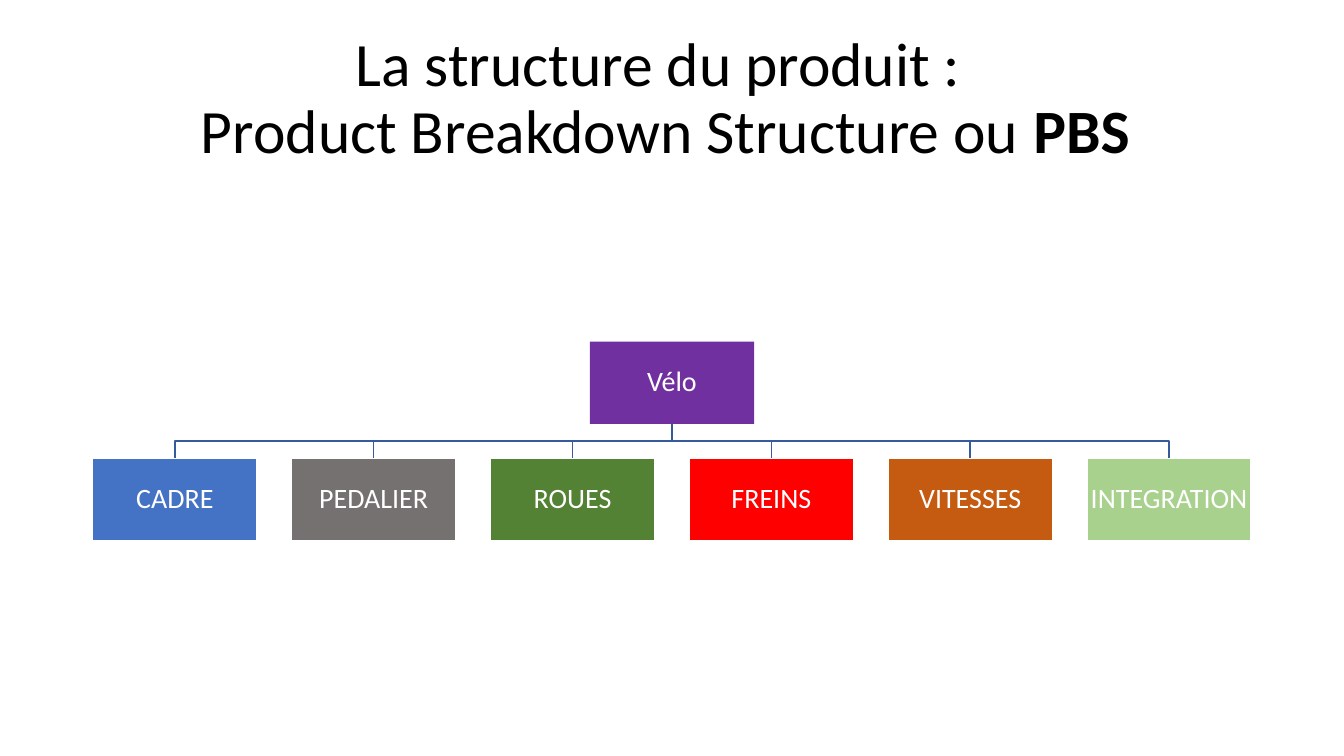
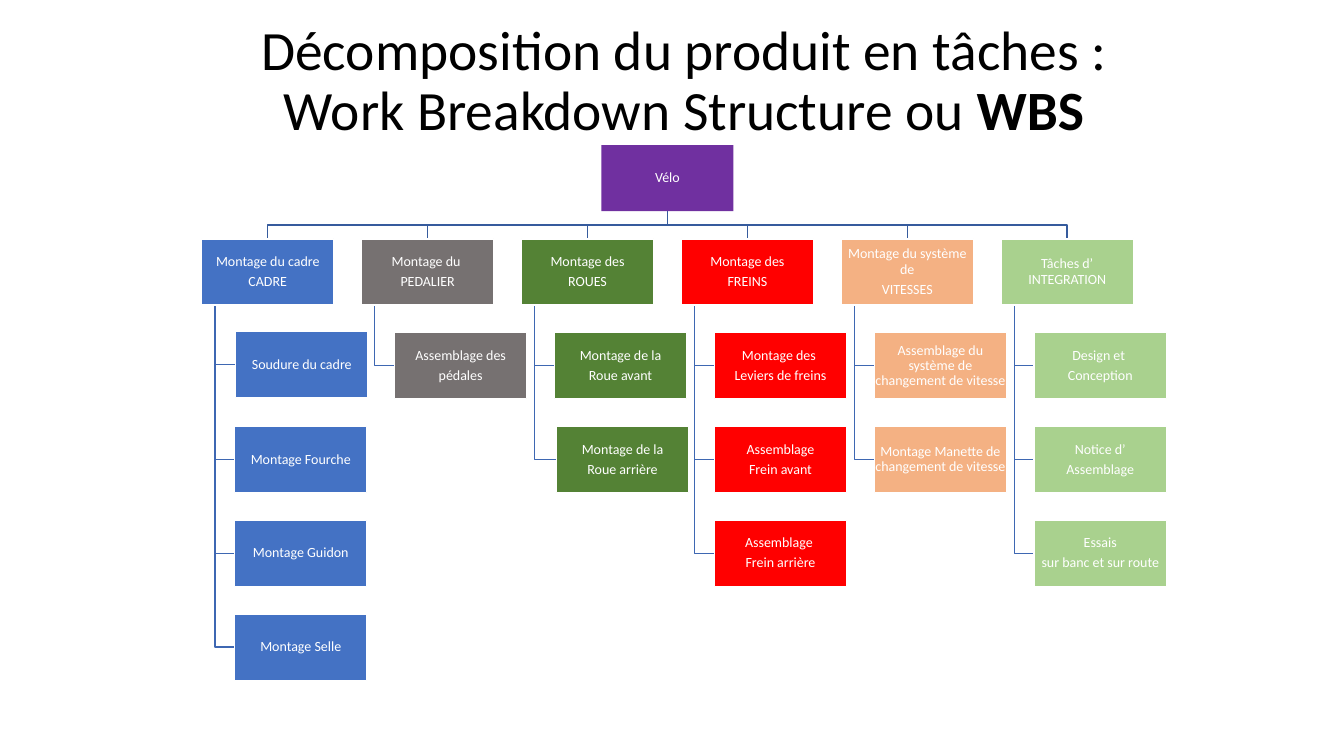
from pptx import Presentation, util as u
from pptx.dml.color import RGBColor
from pptx.enum import shapes, text

FONT = "Calibri"
BLACK, WHITE, PURPLE = "000000", "FFFFFF", "7030A0"
BLUE, GREY, GREEN, RED = "4472C4", "767171", "548235", "FF0000"
RUST, PEACH, LIME = "C55A11", "F4B183", "A9D18E"
TRUNK, BRANCH = "365B9D", "3E67B2"
GAP, INDENT, SPINE = 0.21, 0.25, 0.1


def rgb(value):
    """Turn a hex string into a colour."""
    return RGBColor.from_string(value)


def add_run(p, words, size, color, bold=False):
    """Add one formatted run to a paragraph."""
    r = p.add_run()
    r.text = words
    r.font.name, r.font.size, r.font.bold = FONT, u.Pt(size), bold
    r.font.color.rgb = rgb(color)


def title(s, box, lines, strong, size):
    """Place the slide title in its box, with the acronym in bold."""
    sp = s.shapes.title
    sp.left, sp.top, sp.width, sp.height = (u.Inches(v) for v in box)
    tf = sp.text_frame
    tf.word_wrap, tf.auto_size = True, text.MSO_AUTO_SIZE.NONE
    tf.vertical_anchor = text.MSO_ANCHOR.MIDDLE
    p = tf.paragraphs[0]
    p.alignment, p.line_spacing = text.PP_ALIGN.CENTER, 0.9
    for i, line in enumerate(lines):
        if i:
            p.add_line_break()
        add_run(p, line, size, BLACK)
    add_run(p, strong, size, BLACK, True)


def node(s, x, y, w, label, color, size, outlined=True):
    """Draw one box of the tree, half as high as wide."""
    sp = s.shapes.add_shape(shapes.MSO_SHAPE.RECTANGLE, *(u.Inches(v) for v in (x, y, w, w / 2)))
    sp.shadow.inherit = False
    sp.fill.solid()
    sp.fill.fore_color.rgb = rgb(color)
    if outlined:
        sp.line.color.rgb, sp.line.width = rgb(WHITE), u.Pt(1)
    else:
        sp.line.fill.background()
    tf = sp.text_frame
    tf.word_wrap, tf.vertical_anchor = True, text.MSO_ANCHOR.MIDDLE
    tf.margin_left = tf.margin_top = tf.margin_right = tf.margin_bottom = u.Inches(0.01)
    for i, line in enumerate(label.split("\n")):
        p = tf.add_paragraph() if i else tf.paragraphs[0]
        p.alignment, p.line_spacing = text.PP_ALIGN.CENTER, 0.9
        p.space_after = u.Pt(0.35 * size)
        add_run(p, line, size, WHITE)


def elbow(s, points, color):
    """Draw an open bent line through the points."""
    start, *rest = [(u.Inches(x), u.Inches(y)) for x, y in points]
    fb = s.shapes.build_freeform(*start, scale=1.0)
    fb.add_line_segments(rest, close=False)
    sp = fb.convert_to_shape()
    sp.shadow.inherit = False
    sp.fill.background()
    sp.line.color.rgb, sp.line.width = rgb(color), u.Pt(1)


def branch(s, x, y, w, tasks, color, size):
    """Hang a column of tasks under the heading box at x, y."""
    spine = x + w * SPINE
    for i, task in enumerate(tasks, 1):
        dx, dy = NUDGES.get(task, (0, 0))
        left, top = x + w * INDENT + dx, y + i * w * (0.5 + GAP) + dy
        mid = top + w / 4
        elbow(s, [(spine, y + w / 2), (spine, mid), (left, mid)], BRANCH)
        node(s, left, top, w, task, color, size)


def tree(s, x, y, width, root, columns, size):
    """Draw a root over equal columns of (heading, colour, tasks)."""
    n = len(columns)
    w = width / (n + (n - 1) * GAP)
    heads, bus, center = y + w * (0.5 + GAP), y + w * (0.5 + GAP / 2), x + width / 2
    for i, (heading, color, tasks) in enumerate(columns):
        left = x + i * w * (1 + GAP)
        mid = left + w / 2
        elbow(s, [(center, y + w / 2), (center, bus), (mid, bus), (mid, heads)], TRUNK)
        branch(s, left, heads, w, tasks, color, size)
        node(s, left, heads, w, heading, color, size)
    node(s, center - w / 2, y, w, root, PURPLE, size, False)


PRODUCT = [
    ("CADRE", BLUE, []), ("PEDALIER", GREY, []), ("ROUES", GREEN, []),
    ("FREINS", RED, []), ("VITESSES", RUST, []), ("INTEGRATION", LIME, []),
]
WORK = [
    ("Montage du cadre\nCADRE", BLUE,
     ["Soudure du cadre", "Montage Fourche", "Montage Guidon", "Montage Selle"]),
    ("Montage du \nPEDALIER", GREY, ["Assemblage des\npédales"]),
    ("Montage des\nROUES", GREEN, ["Montage de la\nRoue avant", "Montage de la\nRoue arrière"]),
    ("Montage des\nFREINS", RED,
     ["Montage des \nLeviers de freins", "Assemblage\nFrein avant", "Assemblage \nFrein arrière"]),
    ("Montage du système de\nVITESSES", PEACH,
     ["Assemblage du système de changement de vitesse", "Montage Manette de changement de vitesse"]),
    ("Tâches d’ INTEGRATION", LIME,
     ["Design et \nConception", "Notice d’\nAssemblage", "Essais\nsur banc et sur route"]),
]
NUDGES = {"Soudure du cadre": (0.01, -0.01), "Montage de la\nRoue arrière": (0.02, 0)}


def main():
    """Build both slides and save the file."""
    prs = Presentation()
    prs.slide_width, prs.slide_height = u.Inches(13.33), u.Inches(7.5)
    layout = prs.slide_layouts[5]

    s = prs.slides.add_slide(layout)
    title(s, (0.85, 0.02, 11.5, 1.94),
          ["La structure du produit : ", "Product Breakdown Structure ou "], "PBS", 44)
    tree(s, 0.92, 3.39, 11.49, "Vélo", PRODUCT, 20)

    s = prs.slides.add_slide(layout)
    title(s, (1.93, 0.35, 9.71, 0.94),
          ["Décomposition du produit en tâches : Work Breakdown Structure ou "], "WBS", 39.6)
    tree(s, 2, 1.44, 9.24, "Vélo", WORK, 10)

    prs.save("out.pptx")


if __name__ == "__main__":
    main()
